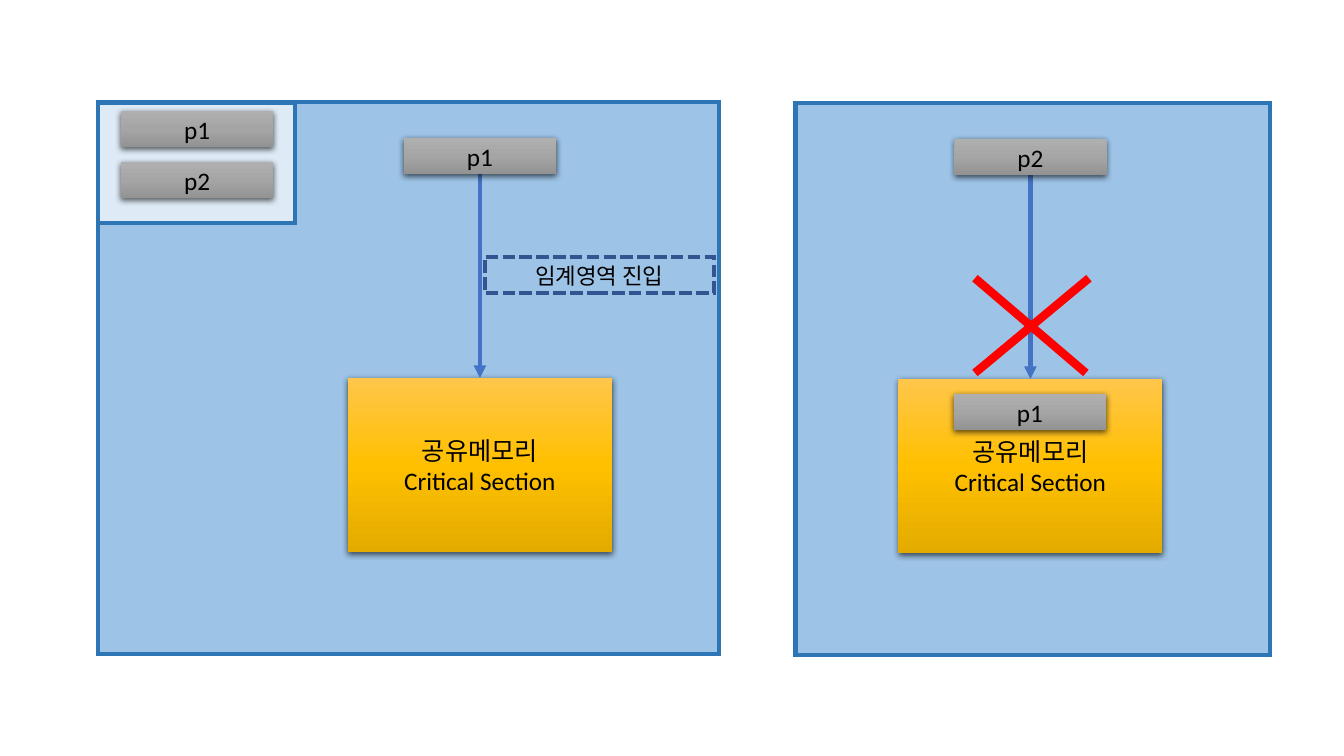
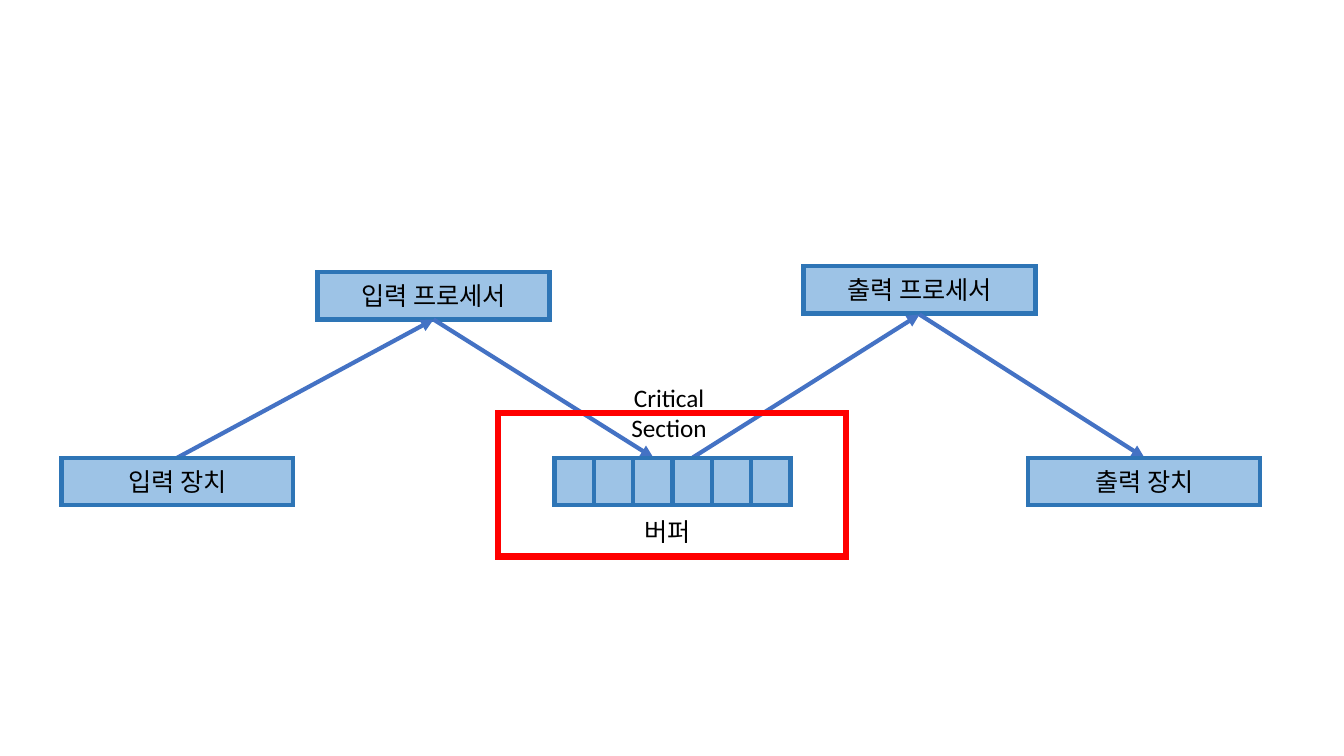
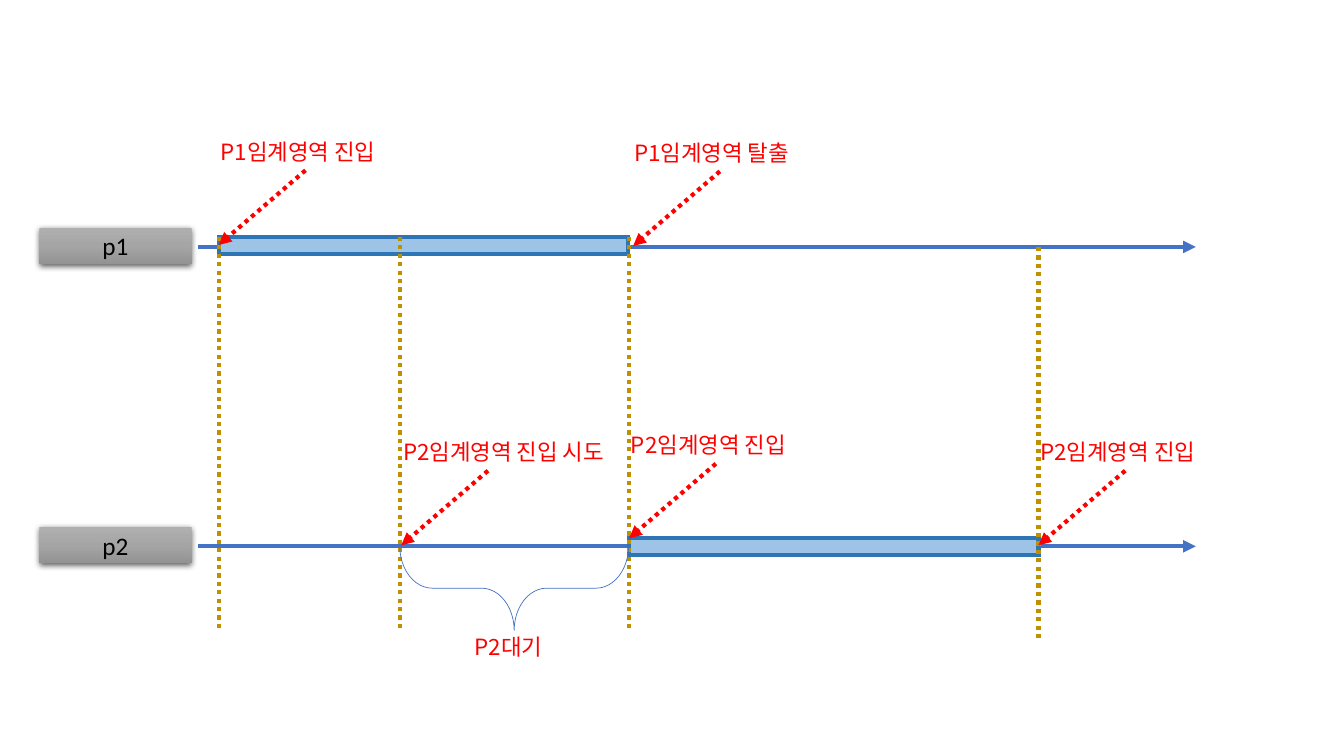
"""Three diagrams of processes sharing a critical section."""
from pptx import Presentation
from pptx.dml.color import RGBColor
from pptx.enum import dml, shapes, text
from pptx.oxml import parse_xml
from pptx.oxml.ns import nsdecls, qn
from pptx.util import Inches, Pt

color = RGBColor.from_string
SKY, PALE, STEEL, BLUE, RED, OCHRE = "9DC3E6", "DEEBF7", "2E75B6", "4472C4", "FF0000", "BF9000"
GRAY = ["AFAFAF", "A5A5A5", "939393"]
GOLD = ["FFC64B", "FFC000", "E3AB00"]
RECT = shapes.MSO_SHAPE.RECTANGLE
DOT, DASH = dml.MSO_LINE.ROUND_DOT, dml.MSO_LINE.SQUARE_DOT
LATIN, KOREAN = "Calibri", "Noto Sans CJK KR"
PROCESS_W, PROCESS_H = 1.51, 0.36


def add_block(canvas, at, words="", fill=None, line=None, weight=3, dash=None,
              kind=RECT, size=18, face=LATIN, ink="000000", wrap=True):
    """Add a shape, or a text box when kind is None; a list of fills is a shaded gradient."""
    frame = [Inches(value) for value in at]
    if kind is None:
        box = canvas.add_textbox(*frame)
        box.text_frame.auto_size = text.MSO_AUTO_SIZE.SHAPE_TO_FIT_TEXT
    else:
        box = canvas.add_shape(kind, *frame)
        box.shadow.inherit = False
        box.text_frame.vertical_anchor = text.MSO_ANCHOR.MIDDLE
        if isinstance(fill, list):
            box.fill.gradient()
            box.fill.gradient_angle = 270
            stops = box.fill._xPr.find(qn("a:gradFill")).find(qn("a:gsLst"))
            stops.clear()
            for position, shade in zip((0, 50000, 100000), fill):
                stops.append(parse_xml(f'<a:gs {nsdecls("a")} pos="{position}">'
                                       f'<a:srgbClr val="{shade}"/></a:gs>'))
            box._element.spPr.find(qn("a:effectLst")).append(parse_xml(
                f'<a:outerShdw {nsdecls("a")} blurRad="57150" dist="19050" dir="5400000" '
                'algn="ctr" rotWithShape="0"><a:srgbClr val="000000">'
                '<a:alpha val="63000"/></a:srgbClr></a:outerShdw>'))
        elif fill:
            box.fill.solid()
            box.fill.fore_color.rgb = color(fill)
        else:
            box.fill.background()
        if line:
            box.line.color.rgb = color(line)
            box.line.width = Pt(weight)
            if dash:
                box.line.dash_style = dash
            box.line._get_or_add_ln().append(parse_xml(f'<a:miter {nsdecls("a")} lim="800000"/>'))
        else:
            box.line.fill.background()
    box.text_frame.word_wrap = wrap
    if words:
        box.text_frame.text = words
        for para in box.text_frame.paragraphs:
            centered = kind is not None or wrap
            para.alignment = text.PP_ALIGN.CENTER if centered else text.PP_ALIGN.LEFT
            para.font.size = Pt(size)
            para.font.name = face
            para.font.color.rgb = color(ink)
    return box


def add_line(canvas, start, end, ink=BLUE, weight=3, dash=None, arrow=True):
    """Add a straight line, with an arrowhead at its end if wanted."""
    line = canvas.add_connector(shapes.MSO_CONNECTOR.STRAIGHT,
                                *[Inches(value) for value in (*start, *end)])
    line.line.color.rgb = color(ink)
    line.line.width = Pt(weight)
    if dash:
        line.line.dash_style = dash
    if arrow:
        line.line._get_or_add_ln().append(parse_xml(f'<a:tailEnd {nsdecls("a")} type="triangle"/>'))
    line._element.spPr.append(parse_xml(f'<a:effectLst {nsdecls("a")}/>'))


deck = Presentation()
deck.slide_width, deck.slide_height = Inches(13.33), Inches(7.5)
entry_page, buffer_page, timeline_page = [
    deck.slides.add_slide(deck.slide_layouts[6]).shapes for _ in range(3)]

blocked = entry_page.add_group_shape().shapes
for canvas, left, top, width, center, name in [
        (entry_page, 0.97, 1.01, 6.16, 4.76, "p1"),
        (blocked, 7.89, 1.02, 4.71, 10.22, "p2")]:
    add_block(canvas, (left, top, width, 5.48), fill=SKY, line=STEEL)
    add_block(canvas, (center - 1.31, top + 2.74, 2.62, 1.73),
              "공유메모리\nCritical Section", fill=GOLD)
    add_line(canvas, (center, top + 0.72), (center, top + 2.74))
    add_block(canvas, (center - PROCESS_W / 2, top + 0.36, PROCESS_W, PROCESS_H), name, fill=GRAY)

add_block(entry_page, (4.81, 2.55, 2.27, 0.36), "임계영역 진입", line="325491", dash=DASH,
          size=16, face=KOREAN)
add_block(entry_page, (0.97, 1.02, 1.96, 1.19), fill=PALE, line=STEEL)
for canvas, left, top, name in [
        (entry_page, 1.2, 1.1, "p1"), (entry_page, 1.2, 1.61, "p2"), (blocked, 9.46, 3.91, "p1")]:
    add_block(canvas, (left, top, PROCESS_W, PROCESS_H), name, fill=GRAY)
for start, end in [((10.8, 2.76), (9.67, 3.7)), ((9.67, 2.76), (10.77, 3.7))]:
    add_line(blocked, start, end, RED, 6, arrow=False)

for start, end in [((4.3, 3.17), (6.48, 4.54)), ((1.76, 4.54), (4.3, 3.17)),
                   ((9.12, 3.12), (11.35, 4.54)), ((6.87, 4.54), (9.12, 3.12))]:
    add_line(buffer_page, start, end)
for left, top, name in [(3.15, 2.7, "입력 프로세서"), (7.97, 2.64, "출력 프로세서"),
                        (0.61, 4.54, "입력 장치"), (10.2, 4.54, "출력 장치")]:
    device = add_block(buffer_page, (left, top, 2.3, 0.47), name, fill=SKY, line=STEEL)
    if top < 4:
        buffer_page._spTree.insert(2, device._element)
add_block(buffer_page, (6.29, 5.07, 0.71, 0.4), "버퍼", kind=None, wrap=False)
cells = buffer_page.add_group_shape().shapes
for index in range(6):
    add_block(cells, (5.5 + 0.39 * index, 4.54, 0.39, 0.47), fill=SKY, line=STEEL)
add_block(buffer_page, (4.94, 4.1, 3.45, 1.42), line=RED, weight=4.5)
add_block(buffer_page, (6.09, 3.74, 1.09, 0.71), "Critical Section", kind=None)

for name, axis in [("p1", 2.45), ("p2", 5.42)]:
    add_line(timeline_page, (1.96, axis), (11.86, axis))
    add_block(timeline_page, (0.39, axis - 0.19, PROCESS_W, PROCESS_H), name, fill=GRAY)
for left, top in [(6.24, 5.34), (2.17, 2.35)]:
    add_block(timeline_page, (left, top, 4.06, 0.17), fill=SKY, line=STEEL)
for moment, top in [(2.17, 2.35), (3.97, 2.35), (6.24, 2.35), (10.3, 2.45)]:
    add_line(timeline_page, (moment, top), (moment, top + 3.9), OCHRE, dash=DOT, arrow=False)

brace = add_block(timeline_page, (4.68, 4.7, 0.84, 2.27), line=BLUE, weight=0.5,
                  kind=shapes.MSO_SHAPE.LEFT_BRACE)
brace.rotation = 270
brace.adjustments[0] = 0.384

for left, top, width, words, tip in [
        (2.09, 1.32, 1.88, "P1임계영역 진입", 2.17),
        (3.9, 4.3, 2.41, "P2임계영역 진입 시도", 3.98),
        (6.19, 1.33, 1.88, "P1임계영역 탈출", 6.28),
        (6.16, 4.23, 1.88, "P2임계영역 진입", 6.24),
        (10.22, 4.3, 1.88, "P2임계영역 진입", 10.3),
        (4.61, 6.23, 0.9, "P2대기", None)]:
    add_block(timeline_page, (left, top, width, 0.37), words, kind=None, size=16,
              face=KOREAN, ink=RED, wrap=False)
    if tip:
        add_line(timeline_page, (tip + 0.86, top + 0.37), (tip, top + 1.11), RED, dash=DOT)

deck.save("out.pptx")
